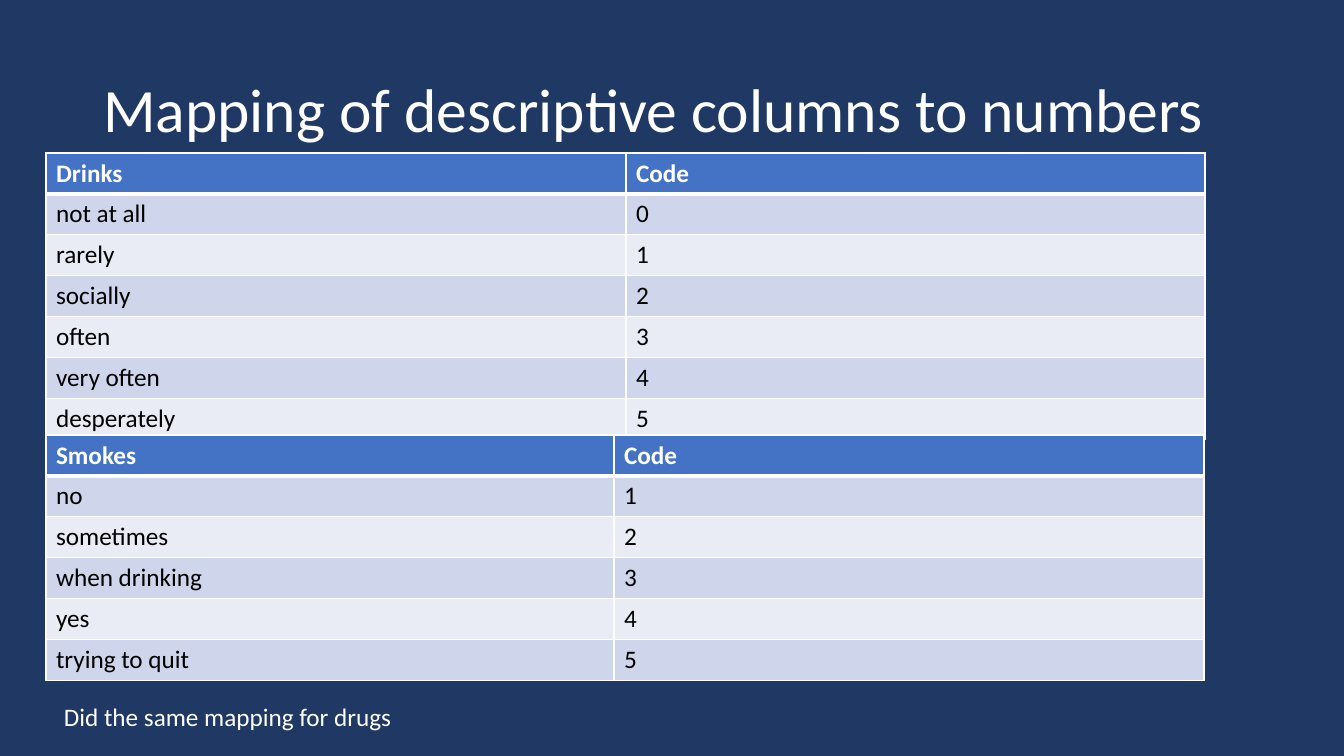
from lxml import etree
from pptx import Presentation
from pptx.dml.color import RGBColor
from pptx.enum.text import MSO_ANCHOR, MSO_AUTO_SIZE, PP_ALIGN
from pptx.oxml.ns import qn
from pptx.util import Emu, Pt

LEFT = PP_ALIGN.LEFT
MIDDLE = MSO_ANCHOR.MIDDLE
NO_FIT = MSO_AUTO_SIZE.NONE
GROW = MSO_AUTO_SIZE.SHAPE_TO_FIT_TEXT

NAVY = RGBColor(0x20, 0x38, 0x64)
BLUE = RGBColor(0x44, 0x72, 0xC4)
BAND_DARK = RGBColor(0xCF, 0xD5, 0xEA)
BAND_LIGHT = RGBColor(0xE9, 0xEB, 0xF5)
WHITE = RGBColor(0xFF, 0xFF, 0xFF)
BLACK = RGBColor(0x00, 0x00, 0x00)

PX_PER_INCH = 100.8
ROW_HEIGHT = 40

DRINKS = [("Drinks", "Code"), ("not at all", "0"), ("rarely", "1"), ("socially", "2"),
          ("often", "3"), ("very often", "4"), ("desperately", "5")]
SMOKES = [("Smokes", "Code"), ("no", "1"), ("sometimes", "2"), ("when drinking", "3"),
          ("yes", "4"), ("trying to quit", "5")]


def px(length):
    return Emu(round(length * 914400 / PX_PER_INCH))


def set_attributes(target, values):
    for name, value in values.items():
        setattr(target, name, value)


def write(frame, text, size, color, bold=False):
    para = frame.paragraphs[0]
    para.alignment = LEFT
    span = para.add_run()
    span.text = text
    set_attributes(span.font, {"name": "Calibri", "size": Pt(size), "bold": bold})
    span.font.color.rgb = color
    return para


def add_title(page, text, left, top, width, height):
    title = page.shapes.title
    set_attributes(title, {"left": px(left), "top": px(top),
                           "width": px(width), "height": px(height)})
    set_attributes(title.text_frame, {"vertical_anchor": MIDDLE, "word_wrap": True,
                                      "auto_size": NO_FIT})
    write(title.text_frame, text, 44, WHITE).line_spacing = 0.9


def add_note(page, text, left, top, width, height):
    box = page.shapes.add_textbox(px(left), px(top), px(width), px(height))
    set_attributes(box.text_frame, {"word_wrap": True, "auto_size": GROW})
    write(box.text_frame, text, 18, WHITE)


def set_borders(cell, widths):
    """Draw white borders; widths maps L, R, T and B to points, in that order."""
    properties = cell._tc.get_or_add_tcPr()
    for index, (side, points) in enumerate(widths.items()):
        line = etree.Element(qn(f"a:ln{side}"), w=str(Pt(points)))
        fill = etree.SubElement(line, qn("a:solidFill"))
        etree.SubElement(fill, qn("a:srgbClr"), val=str(WHITE))
        properties.insert(index, line)


def add_code_table(page, rows, left, top, column_widths):
    frame = page.shapes.add_table(len(rows), len(column_widths), px(left), px(top),
                                  px(sum(column_widths)), px(ROW_HEIGHT * len(rows)))
    table = frame.table
    for column, width in zip(table.columns, column_widths):
        column.width = px(width)
    for row_index, values in enumerate(rows):
        header = row_index == 0
        band = BAND_DARK if row_index % 2 else BAND_LIGHT
        widths = {"L": 1, "R": 1, "T": 3 if row_index == 1 else 1, "B": 3 if header else 1}
        for column_index, text in enumerate(values):
            cell = table.cell(row_index, column_index)
            cell.fill.solid()
            cell.fill.fore_color.rgb = BLUE if header else band
            set_borders(cell, widths)
            write(cell.text_frame, text, 18, WHITE if header else BLACK, header)


def main():
    deck = Presentation()
    set_attributes(deck, {"slide_width": px(1344), "slide_height": px(756)})
    page = deck.slides.add_slide(deck.slide_layouts.get_by_name("Title Only"))
    page.background.fill.solid()
    page.background.fill.fore_color.rgb = NAVY

    add_title(page, "Mapping of descriptive columns to numbers", 93, 40, 1159, 146)
    add_code_table(page, DRINKS, 46, 153, [580, 579])
    add_code_table(page, SMOKES, 46, 435, [568, 590])
    add_note(page, "Did the same mapping for drugs", 54, 696, 1132, 40)
    deck.save("out.pptx")


if __name__ == "__main__":
    main()
